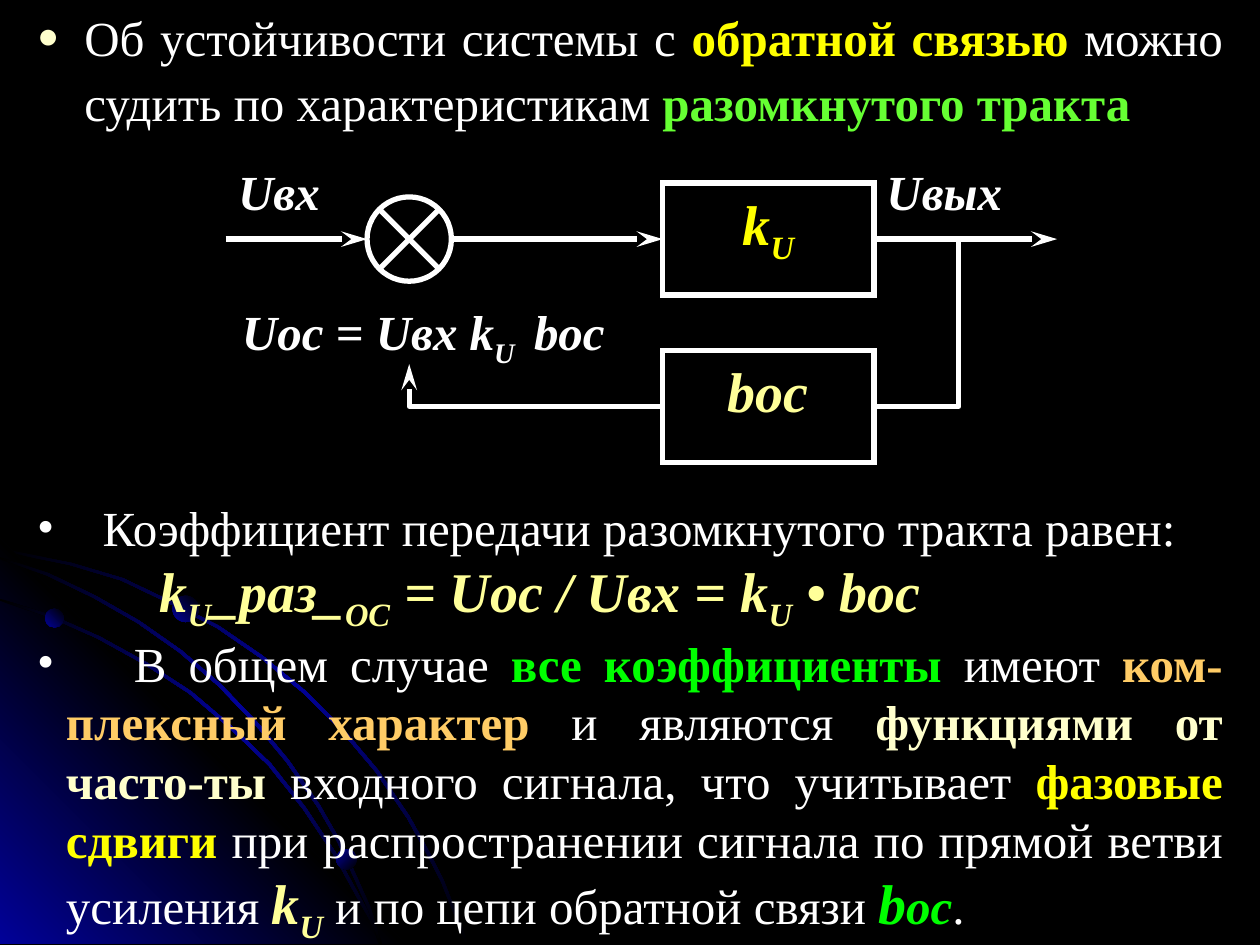
import math
from dataclasses import dataclass
from typing import NamedTuple, Optional

import lxml.etree
import pptx
import pptx.dml.color
import pptx.enum.shapes
import pptx.enum.text
import pptx.oxml.ns
import pptx.util

Cm = pptx.util.Cm
Pt = pptx.util.Pt
qn = pptx.oxml.ns.qn
ALIGN = pptx.enum.text.PP_ALIGN
SHAPE = pptx.enum.shapes.MSO_SHAPE
Point = tuple[float, float]


@dataclass(frozen=True)
class Theme:
    font: str = "Times New Roman"
    black: str = "000000"
    navy: str = "010199"
    white: str = "FFFFFF"
    yellow: str = "FFFF00"
    pale_yellow: str = "FFFF99"
    cream: str = "FFFFCC"
    orange: str = "FFCC66"
    lime: str = "66FF33"
    green: str = "00FF00"
    body: int = 28
    formula: int = 32
    stroke: int = 3


T = Theme()


class Run(NamedTuple):
    text: str
    color: Optional[str] = None
    size: Optional[int] = None
    bold: Optional[bool] = None
    italic: Optional[bool] = None
    sub: bool = False


class Bullet(NamedTuple):
    char: str
    color: str
    percent: int = 100


class Para(NamedTuple):
    runs: list[Run]
    color: str = T.white
    size: int = T.body
    strong: bool = False
    align: ALIGN = ALIGN.JUSTIFY
    margin: float = 0
    hang: float = 0
    bullet: Optional[Bullet] = None
    tab: Optional[float] = None
    spacing: float = 1.0


class Box(NamedTuple):
    left: float
    top: float
    width: float
    height: float


def rgb(color: str) -> pptx.dml.color.RGBColor:
    return pptx.dml.color.RGBColor.from_string(color)


def child(parent, tag: str, **attributes: str):
    return lxml.etree.SubElement(parent, qn(tag), attributes)


def write(frame, paras: list[Para]) -> None:
    frame.word_wrap = True
    frame.vertical_anchor = pptx.enum.text.MSO_ANCHOR.TOP
    for index, para in enumerate(paras):
        line = frame.add_paragraph() if index else frame.paragraphs[0]
        line.alignment = para.align
        line.line_spacing = para.spacing
        props = line._p.get_or_add_pPr()
        props.set("marL", str(Cm(para.margin)))
        props.set("indent", str(Cm(-para.hang)))
        if para.bullet:
            child(child(props, "a:buClr"), "a:srgbClr", val=para.bullet.color)
            child(props, "a:buSzPct", val=str(para.bullet.percent * 1000))
            child(props, "a:buFont", typeface=T.font)
            child(props, "a:buChar", char=para.bullet.char)
        if para.tab:
            child(child(props, "a:tabLst"), "a:tab", pos=str(Cm(para.tab)), algn="l")
        line.font.name = T.font
        line.font.size = Pt(para.size)
        line.font.bold = line.font.italic = para.strong
        line.font.color.rgb = rgb(para.color)
        for part in para.runs:
            run = line.add_run()
            run.text = part.text
            if part.color:
                run.font.color.rgb = rgb(part.color)
            if part.size:
                run.font.size = Pt(part.size)
            if part.bold is not None:
                run.font.bold = part.bold
            if part.italic is not None:
                run.font.italic = part.italic
            if part.sub:
                run.font._element.set("baseline", "-25000")


def add_text(slide, box: Box, paras: list[Para]):
    label = slide.shapes.add_textbox(*map(Cm, box))
    write(label.text_frame, paras)
    return label


def stroke(shape, arrow: bool = False, sharp: bool = False) -> None:
    shape.line.color.rgb = rgb(T.white)
    shape.line.width = Pt(T.stroke)
    if sharp:
        child(shape.line._get_or_add_ln(), "a:miter", lim="800000")
    if arrow:
        child(shape.line._get_or_add_ln(), "a:tailEnd", type="stealth", w="med", len="lg")


def gradient(shape, colors: list[str], angle: int) -> None:
    shape.shadow.inherit = False
    shape.line.fill.background()
    shape.fill.gradient()
    shape.fill.gradient_angle = 360 - angle
    stops = shape._element.spPr.find(qn("a:gradFill")).find(qn("a:gsLst"))
    for stop in list(stops):
        stops.remove(stop)
    for index, color in enumerate(colors):
        position = index * 100000 // (len(colors) - 1)
        child(child(stops, "a:gs", pos=str(position)), "a:srgbClr", val=color)


def outline(slide, points: list[Point], close: bool):
    start, *rest = [(Cm(x), Cm(y)) for x, y in points]
    builder = slide.shapes.build_freeform(*start)
    builder.add_line_segments(rest, close=close)
    shape = builder.convert_to_shape()
    shape.shadow.inherit = False
    return shape


def add_arc(slide, edge: list[Point]) -> None:
    inner = [(max(0, x - 0.05), min(19.05, y + 0.04)) for x, y in reversed(edge)]
    gradient(outline(slide, edge + inner, True), [T.black, T.navy, T.black], 225)


def add_arrow(slide, start: Point, end: Point, arrow: bool = False) -> None:
    ends = map(Cm, start + end)
    wire = slide.shapes.add_connector(pptx.enum.shapes.MSO_CONNECTOR.STRAIGHT, *ends)
    stroke(wire, arrow)
    child(wire._element.spPr, "a:effectLst")


def add_bent_wire(slide, points: list[Point], arrow: bool = False) -> None:
    wire = outline(slide, points, False)
    wire.fill.background()
    stroke(wire, arrow)


def add_block(slide, kind, box: Box, paras: list[Para]) -> None:
    block = slide.shapes.add_shape(kind, *map(Cm, box))
    block.shadow.inherit = False
    block.fill.background()
    stroke(block, sharp=True)
    if paras:
        write(block.text_frame, paras)


def add_backdrop(slide) -> None:
    slide.background.fill.solid()
    slide.background.fill.fore_color.rgb = rgb(T.black)
    add_arc(slide, [(0, 11.05), (0.71, 11.2), (1.45, 11.35), (2.49, 11.66), (3.45, 12.12),
                    (4.42, 12.62), (5.31, 13.23), (6.15, 13.92), (6.91, 14.68), (7.62, 15.52),
                    (8.26, 16.46), (8.61, 17.09), (8.94, 17.73), (9.19, 18.36), (9.45, 19.02)])
    corner = outline(slide, [(8.18, 19.03), (0, 19.03), (0, 10.85)], True)
    gradient(corner, [T.navy, T.black, T.navy], 135)
    add_arc(slide, [(0, 12.07), (1.04, 12.4), (2.01, 12.83), (2.97, 13.36), (3.86, 13.94),
                    (4.67, 14.63), (5.46, 15.39), (6.15, 16.26), (6.76, 17.17), (7.26, 18.08),
                    (7.52, 18.54), (7.7, 19.02)])
    add_arc(slide, [(0, 11.23), (0.99, 11.56), (1.93, 12.01), (2.82, 12.52), (3.66, 13.11),
                    (4.45, 13.79), (5.18, 14.55), (5.82, 15.32), (6.45, 16.23), (6.83, 16.89),
                    (7.16, 17.6), (7.47, 18.29), (7.7, 19.02)])
    for left, top, size, angle in [(0.91, 12.27, 0.38, 135), (6.78, 17.12, 0.41, 225),
                                   (3.48, 12.01, 0.53, 135)]:
        planet = slide.shapes.add_shape(SHAPE.OVAL, *map(Cm, (left, top, size, size)))
        gradient(planet, [T.black, T.navy], angle)


def add_diagram(slide) -> None:
    axis, return_y, mixer_x, radius = 4.82, 8.19, 8.25, 0.85
    block_left, block_width, block_height = 13.36, 4.26, 2.26
    block_right, tap_x = block_left + block_width, 19.33
    gains = [(axis, [Run("k"), Run("U", sub=True)], T.yellow),
             (return_y, [Run("bос")], T.pale_yellow)]
    for middle, runs, color in gains:
        box = Box(block_left, middle - block_height / 2, block_width, block_height)
        add_block(slide, SHAPE.RECTANGLE, box,
                  [Para(runs, color, T.formula, True, ALIGN.CENTER)])
    add_block(slide, SHAPE.OVAL, Box(mixer_x - radius, axis - radius, 2 * radius, 2 * radius), [])
    reach = radius * math.sqrt(0.5)
    for slope in (reach, -reach):
        add_arrow(slide, (mixer_x - reach, axis - slope), (mixer_x + reach, axis + slope))
    for start, end in [(4.55, mixer_x - radius), (mixer_x + radius, block_left),
                       (block_right, 21.31)]:
        add_arrow(slide, (start, axis), (end, axis), arrow=True)
    add_bent_wire(slide, [(tap_x, axis), (tap_x, return_y), (block_right, return_y)])
    add_bent_wire(slide, [(block_left, return_y), (mixer_x, return_y), (mixer_x, 7.34)], True)
    feedback = [Run("Uос = Uвх k"), Run("U ", sub=True), Run(" bос")]
    for box, runs, align in [(Box(4.55, 3.14, 2.84, 1.68), [Run("Uвх")], ALIGN.LEFT),
                             (Box(17.62, 3.14, 3.4, 1.68), [Run("Uвых")], ALIGN.LEFT),
                             (Box(3.71, 5.96, 9.65, 1.68), feedback, ALIGN.CENTER)]:
        add_text(slide, box, [Para(runs, strong=True, align=align)])


def main() -> None:
    deck = pptx.Presentation()
    deck.slide_width, deck.slide_height = Cm(25.4), Cm(19.05)
    slide = deck.slides.add_slide(deck.slide_layouts[6])
    add_backdrop(slide)
    statement = Para([
        Run("Об устойчивости системы с "), Run("обратной связью", T.yellow, bold=True),
        Run(" можно судить по характеристикам "), Run("разомкнутого тракта", T.lime, bold=True),
    ], margin=0.95, hang=0.95, bullet=Bullet("●", T.cream, 75), spacing=1.12)
    heading = add_text(slide, Box(0.5, 0, 24.4, 2.92), [statement])
    heading.text_frame.margin_top = 0
    add_diagram(slide)
    dot = Bullet("•", T.white)
    add_text(slide, Box(0.5, 9.91, 24.4, 9.1), [
        Para([Run("Коэффициент передачи разомкнутого тракта равен:")],
             margin=1.32, hang=1.32, bullet=dot),
        Para([Run("k"), Run("U", sub=True), Run("_раз_"), Run("ОС", sub=True),
              Run(" = Uос / Uвх = k"), Run("U", sub=True), Run(" • bос")],
             T.pale_yellow, T.formula, True, margin=2.47),
        Para([Run("\tВ общем случае "), Run("все коэффициенты", T.green, bold=True),
              Run(" имеют "), Run("ком-плексный характер", T.orange, bold=True),
              Run(" и являются "), Run("функциями от часто-ты", T.cream, bold=True),
              Run(" входного сигнала, что учитывает "),
              Run("фазовые сдвиги", T.yellow, bold=True),
              Run(" при распространении сигнала по прямой ветви усиления "),
              Run("k", T.pale_yellow, T.formula, True, True),
              Run("U", T.pale_yellow, T.formula, True, True, True),
              Run(" и по цепи обратной связи "), Run("b", T.green, T.formula, True, True),
              Run("ос", T.green, bold=True, italic=True), Run(".")],
             margin=0.58, hang=0.58, bullet=dot, tab=1.95),
    ])
    deck.save("out.pptx")


if __name__ == "__main__":
    main()
